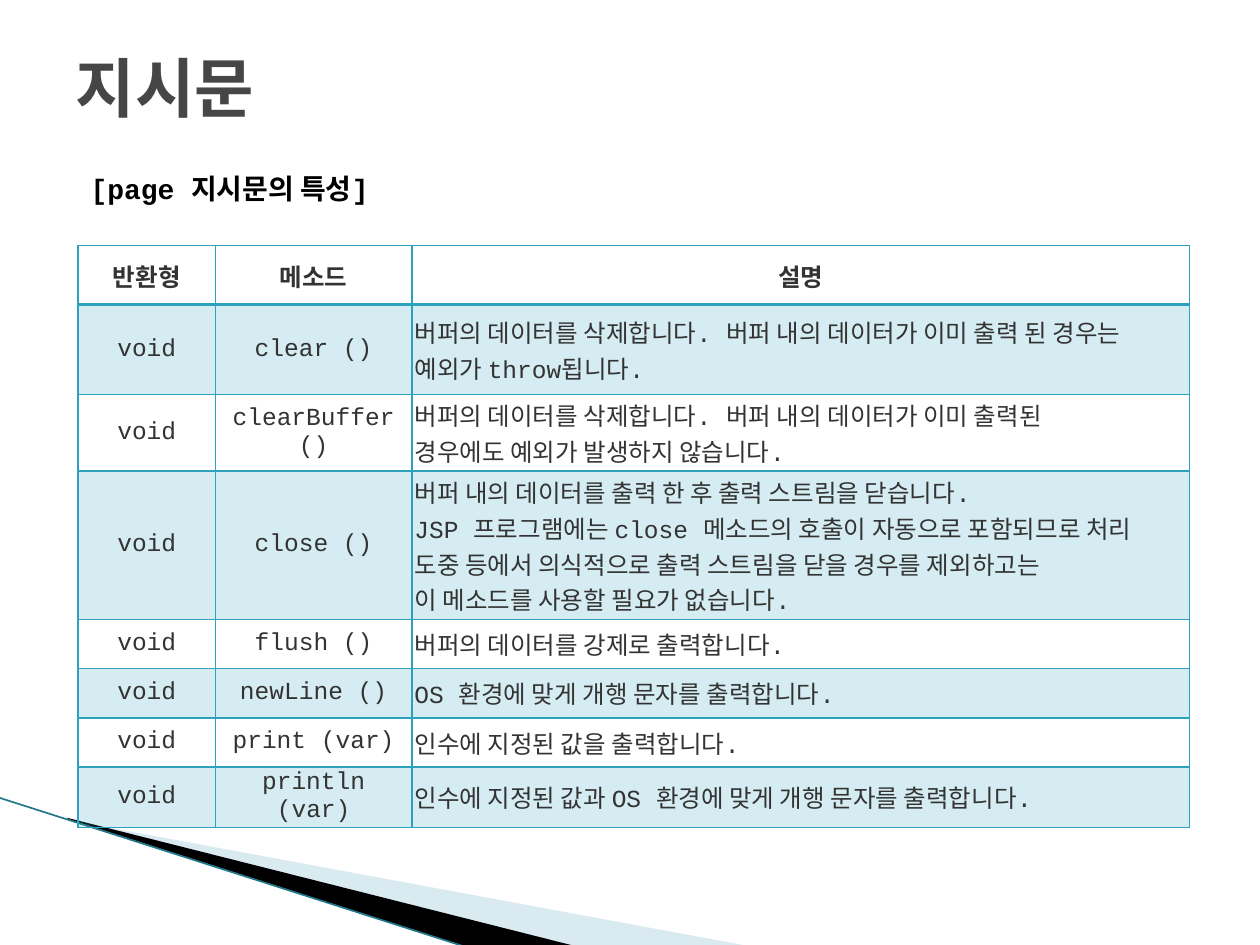
from pptx import Presentation
from pptx.dml.color import RGBColor
from pptx.enum import text as t
from pptx.oxml import ns, xmlchemy as x
from pptx.util import Inches, Pt
from lxml import etree

FONT = "Courier New"
HEX = {"title": "464646", "text": "333333", "black": "000000",
       "teal": "2DA2BF", "pale": "A0CBDC", "edge": "21788D"}

# Content
TITLE = "지시문"
LEAD = "[page 지시문의 특성]"
HEAD = ("반환형", "메소드", "설명")
ROWS = [
    ("clear ()", "버퍼의 데이터를 삭제합니다.\u00a0버퍼 내의 데이터가 이미 출력 된 경우는 \n"
                 "예외가 throw됩니다."),
    ("clearBuffer ()", "버퍼의 데이터를 삭제합니다.\u00a0버퍼 내의 데이터가 이미 출력된 \n"
                       "경우에도 예외가 발생하지 않습니다."),
    ("close ()", "버퍼 내의 데이터를 출력 한 후 출력 스트림을 닫습니다.\u00a0\n"
                 "JSP 프로그램에는 close 메소드의 호출이 자동으로 포함되므로 처리 \n"
                 "도중 등에서 의식적으로 출력 스트림을 닫을 경우를 제외하고는\n"
                 "이 메소드를 사용할 필요가 없습니다."),
    ("flush ()", "버퍼의 데이터를 강제로 출력합니다."),
    ("newLine ()", "OS 환경에 맞게 개행 문자를 출력합니다."),
    ("print (var)", "인수에 지정된 값을 출력합니다."),
    ("println (var)", "인수에 지정된 값과 OS 환경에 맞게 개행 문자를 출력합니다."),
]
WIDTHS = (1.09, 1.56, 6.17)
HEIGHTS = (0.47, 0.71, 0.55, 1.17, 0.39, 0.39, 0.39, 0.39)
WEDGES = [
    ("pale", 40, [(0.55, 6.51), (5.95, 7.51), (4.56, 7.51), (0.55, 6.5)]),
    ("black", 100, [(0.53, 6.49), (4.57, 7.51), (3.72, 7.52), (0.54, 6.5)]),
]


def color(key):
    return RGBColor.from_string(HEX[key])


def tint(fill, key, alpha, root):
    fill.solid()
    fill.fore_color.rgb = color(key)
    if alpha < 100:
        clr = root.find("./" + ns.qn("a:solidFill") + "/" + ns.qn("a:srgbClr"))
        etree.SubElement(clr, ns.qn("a:alpha")).set("val", str(alpha * 1000))


def style(par, size, key, bold, align=t.PP_ALIGN.LEFT):
    par.alignment = align
    font = par.font
    font.name, font.size, font.bold = FONT, Pt(size), bold
    font.color.rgb = color(key)


def place(shape, *box):
    shape.left, shape.top, shape.width, shape.height = map(Inches, box)


def border(cell, base):
    props = cell._tc.get_or_add_tcPr()
    for side, width in zip("LRTB", (1, 1, 1, base)):
        line = etree.SubElement(props, ns.qn("a:ln" + side), w=str(Pt(width)))
        fill = etree.SubElement(line, ns.qn("a:solidFill"))
        etree.SubElement(fill, ns.qn("a:srgbClr"), val=HEX["teal"])


prs = Presentation()
prs.slide_width, prs.slide_height = Inches(10), Inches(7.5)
slide = prs.slides.add_slide(prs.slide_layouts[1])
title, body = slide.placeholders

# Title and lead line
place(title, 0.5, 0.3, 9, 0.77)
title.text_frame.text = TITLE
title.text_frame.vertical_anchor = t.MSO_ANCHOR.MIDDLE
style(title.text_frame.paragraphs[0], 36.9, "title", True)

place(body, 0.5, 1.31, 9, 5.83)
body.text_frame.text = LEAD
lead = body.text_frame.paragraphs[0]
style(lead, 16, "black", True)
lead.space_before = Pt(4)
props = lead._p.get_or_add_pPr()
props.set("marL", str(Inches(0.4)))
props.set("indent", str(Inches(-0.28)))
etree.SubElement(props, ns.qn("a:buNone"))
props.append(props.find(ns.qn("a:defRPr")))

# Corner wedges and edge line
for key, alpha, pts in WEDGES:
    pts = [(Inches(a), Inches(b)) for a, b in pts]
    form = slide.shapes.build_freeform(*pts[0])
    form.add_line_segments(pts[1:], close=True)
    wedge = form.convert_to_shape()
    wedge.shadow.inherit = False
    tint(wedge.fill, key, alpha, wedge._element.spPr)
    wedge.line.fill.background()

edge = slide.shapes.add_connector(1, Inches(-0.01), Inches(6.33),
                                  Inches(3.71), Inches(7.52))
edge.line.color.rgb = color("edge")
edge.line.width = Pt(0.95)
etree.SubElement(edge._element.spPr, ns.qn("a:effectLst"))

# Method table
grid = [HEAD] + [("void",) + row for row in ROWS]
table = slide.shapes.add_table(len(grid), len(HEAD), Inches(0.62), Inches(1.95),
                               Inches(sum(WIDTHS)), Inches(sum(HEIGHTS))).table
table.first_row = table.horz_banding = False
for col, width in zip(table.columns, WIDTHS):
    col.width = Inches(width)
for r, (line, height) in enumerate(zip(grid, HEIGHTS)):
    table.rows[r].height = Inches(height)
    for c, words in enumerate(line):
        cell = table.cell(r, c)
        cell.text = words
        cell.vertical_anchor = t.MSO_ANCHOR.MIDDLE
        cell.margin_left = cell.margin_right = Inches(0.02)
        cell.margin_top = cell.margin_bottom = Inches(0.02)
        left = r > 0 and c == 2
        for par in cell.text_frame.paragraphs:
            style(par, 14, "text", r == 0,
                  t.PP_ALIGN.LEFT if left else t.PP_ALIGN.CENTER)
        border(cell, 2 if r == 0 else 1)
        if r % 2:
            tint(cell.fill, "teal", 20, cell._tc.tcPr)
        else:
            cell.fill.background()

prs.save("out.pptx")
